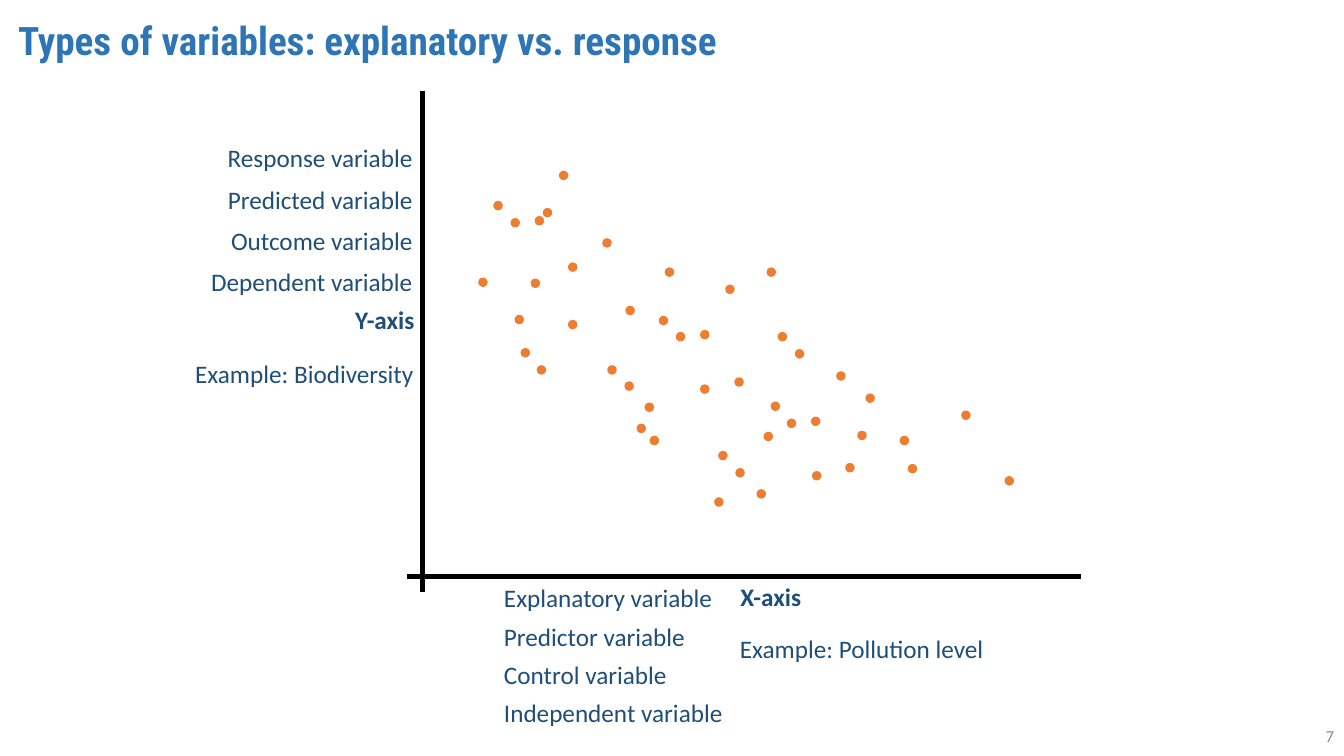
from lxml import etree
from pptx import Presentation
from pptx import util as u
from pptx.dml import color
from pptx.enum import shapes, text
from pptx.oxml import ns

PX = 9144
DOT_SIZE = 8
NAVY = "1F4E79"
ORANGE = "ED7D31"
LEFT, CENTER, RIGHT = text.PP_ALIGN.LEFT, text.PP_ALIGN.CENTER, text.PP_ALIGN.RIGHT
TOP, MIDDLE = text.MSO_ANCHOR.TOP, text.MSO_ANCHOR.MIDDLE

TITLE_BOX = (8, 12, 1316, 60)
PLOT_BOX = (404, 90, 668, 497)
RESPONSE_BOX = (149, 140, 272, 312)
EXPLANATORY_BOX = (490, 575, 536, 175)
NUMBER_BOX = (1033, 710, 300, 40)

RESPONSE_NAMES = ["Response variable", "Predicted variable",
                  "Outcome variable", "Dependent variable"]
EXPLANATORY_NAMES = ["Explanatory variable", "Predictor variable",
                     "Control variable", "Independent variable"]

DOTS = [
    (71, 186), (123, 187), (217, 214), (194, 147), (107, 223), (113, 256),
    (129, 273), (199, 273), (216, 289), (250, 224), (267, 240), (241, 343),
    (291, 292), (550, 318), (368, 240), (385, 257), (325, 285), (455, 301),
    (236, 310), (228, 331), (489, 343), (497, 371), (593, 383), (357, 176),
    (291, 238), (354, 339), (316, 193), (305, 404), (256, 176), (309, 358),
    (326, 375), (361, 309), (377, 326), (402, 378), (447, 338), (435, 370),
    (347, 396), (401, 324), (426, 279), (86, 110), (103, 127), (160, 228),
    (135, 117), (160, 171), (127, 125), (151, 80),
]


def rgb(value):
    return color.RGBColor.from_string(value)


def emu(*lengths):
    return [u.Emu(length * PX) for length in lengths]


def inside(box, left, top, width, height):
    return box[0] + left, box[1] + top, width, height


def apply(target, formats):
    for name, value in formats.items():
        setattr(target, name, value)


def write(frame, lines, align=LEFT, spacing=0.9, anchor=TOP,
          size=18, name="Calibri", bold=False, ink=NAVY):
    apply(frame, {"word_wrap": True, "auto_size": text.MSO_AUTO_SIZE.NONE,
                  "vertical_anchor": anchor})
    for index, line in enumerate(lines):
        para = frame.add_paragraph() if index else frame.paragraphs[0]
        apply(para, {"alignment": align, "line_spacing": spacing,
                     "space_before": u.Pt(10 if index else 0)})
        span = para.add_run()
        span.text = line
        apply(span.font, {"size": u.Pt(size), "name": name, "bold": bold})
        span.font.color.rgb = rgb(ink)


def add_text(page, box, lines, **formats):
    write(page.shapes.add_textbox(*emu(*box)).text_frame, lines, **formats)


def add_title(page, box):
    title = page.shapes.title
    apply(title, dict(zip(("left", "top", "width", "height"), emu(*box))))
    write(title.text_frame, ["Types of variables: explanatory vs. response"],
          anchor=MIDDLE, size=28, name="Roboto Condensed", bold=True, ink="2E75B6")


def add_axis(page, start, end):
    axis = page.shapes.add_connector(shapes.MSO_CONNECTOR.STRAIGHT, *emu(*start, *end))
    axis.line.width = u.Pt(3)
    axis.line.color.rgb = rgb("000000")
    etree.SubElement(axis.element.spPr, ns.qn("a:effectLst"))


def add_scatter(page, box):
    left, top, width, height = box
    origin_x, origin_y = left + 15, top + 482
    add_axis(page, (origin_x, top), (origin_x, top + height))
    add_axis(page, (left, origin_y), (left + width, origin_y))
    for x, y in DOTS:
        place = inside(box, x, y, DOT_SIZE, DOT_SIZE)
        dot = page.shapes.add_shape(shapes.MSO_SHAPE.OVAL, *emu(*place))
        dot.shadow.inherit = False
        dot.fill.solid()
        dot.fill.fore_color.rgb = rgb(ORANGE)
        dot.line.color.rgb = rgb(ORANGE)
        dot.line.width = u.Pt(1)


def add_response_labels(page, box):
    add_text(page, inside(box, 0, 0, 270, 187), RESPONSE_NAMES, align=RIGHT)
    add_text(page, inside(box, 147, 160, 125, 44), ["Y-axis"], align=RIGHT, bold=True)
    add_text(page, inside(box, 21, 214, 250, 98), ["Example: Biodiversity"], align=RIGHT)


def add_explanatory_labels(page, box):
    add_text(page, inside(box, 0, 4, 302, 158), EXPLANATORY_NAMES, spacing=0.8)
    add_text(page, inside(box, 123, 0, 303, 45), ["X-axis"], align=CENTER, bold=True)
    add_text(page, inside(box, 234, 52, 302, 98), ["Example: Pollution level"])


def add_page_number(page, box):
    add_text(page, box, ["7"], align=RIGHT, spacing=1.0, anchor=MIDDLE,
             size=12, ink="8C8C8C")


def main():
    deck = Presentation()
    deck.slide_width, deck.slide_height = emu(1333, 750)
    page = deck.slides.add_slide(deck.slide_layouts.get_by_name("Title Only"))
    add_title(page, TITLE_BOX)
    add_page_number(page, NUMBER_BOX)
    add_scatter(page, PLOT_BOX)
    add_explanatory_labels(page, EXPLANATORY_BOX)
    add_response_labels(page, RESPONSE_BOX)
    deck.save("out.pptx")


if __name__ == "__main__":
    main()
